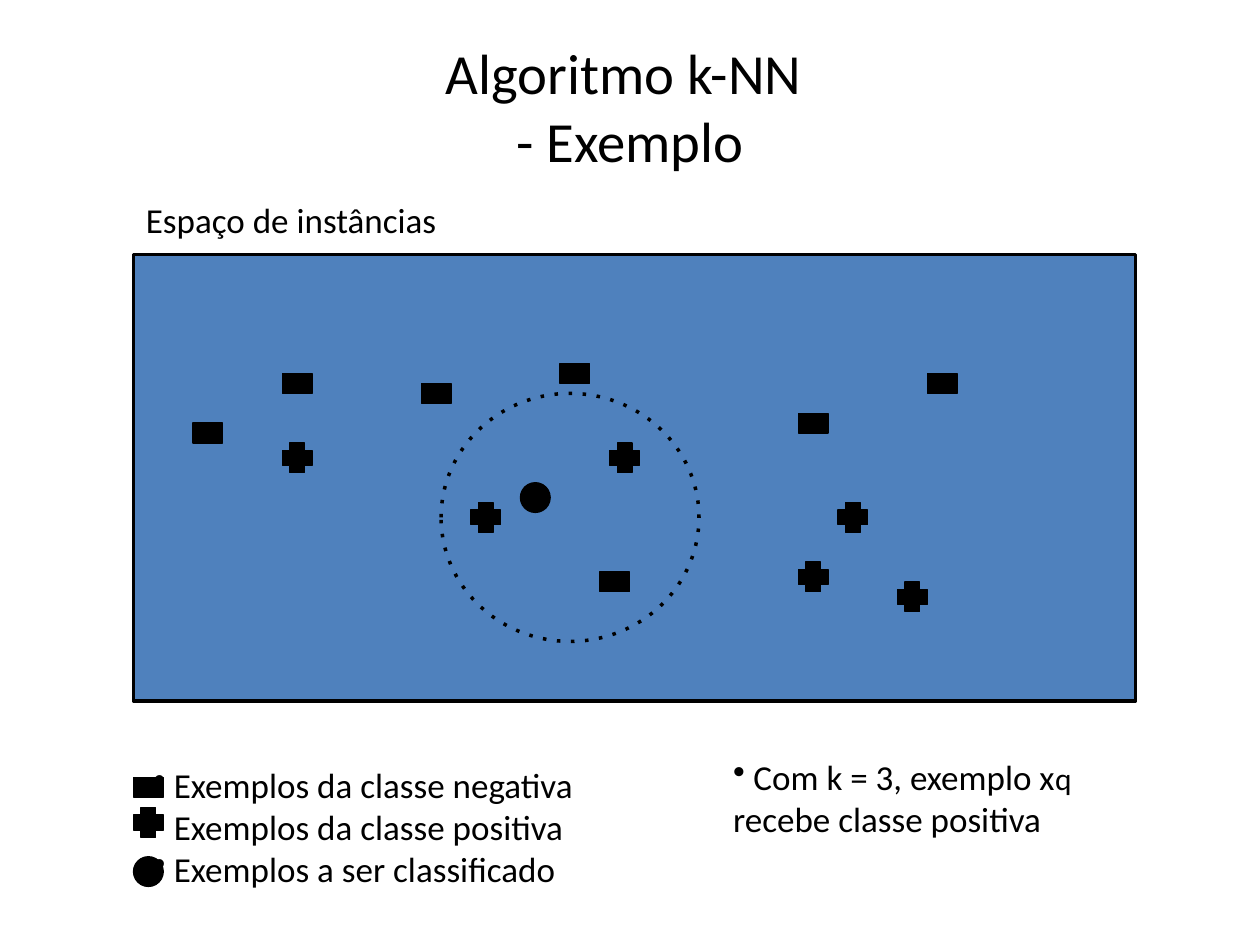
from pptx import Presentation
from pptx import util as u
from pptx.dml.color import RGBColor
from pptx.enum import dml, shapes, text
from lxml import etree
from pptx.oxml.ns import qn

THEME = {
    "font": "Calibri",
    "ink": RGBColor(0x00, 0x00, 0x00),
    "space": RGBColor(0x4F, 0x81, 0xBD),
    "title": 32.4,
    "body": 20,
    "subscript": 18,
    "frame": 2,
    "outline": 0.75,
}
SLIDE_WIDTH, SLIDE_HEIGHT = u.Inches(10), u.Inches(7.5)

# The instance space is a grid of 2 mm cells
CELL = u.Cm(0.2)
GRID_LEFT, GRID_TOP = u.Inches(1.06), u.Inches(2.02)
SPACE = (0, 0, 101, 45)
NEIGHBOURHOOD = (31, 14, 26, 25)

# Kind of example: preset shape, columns wide, rows high
MARKERS = {
    "negative": (shapes.MSO_SHAPE.RECTANGLE, 3, 2),
    "positive": (shapes.MSO_SHAPE.CROSS, 3, 3),
    "query": (shapes.MSO_SHAPE.OVAL, 3, 3),
}
# Column and row of each example
EXAMPLES = {
    "negative": [(6, 17), (15, 12), (29, 13), (43, 11), (47, 32), (67, 16), (80, 12)],
    "positive": [(15, 19), (34, 25), (48, 19), (67, 31), (71, 25), (77, 33)],
    "query": [(39, 23)],
}
LEGEND = [
    ("negative", " Exemplos da classe negativa", 52.7),
    ("positive", " Exemplos da classe positiva", 55.75),
    ("query", " Exemplos a ser classificado", 60.7),
]


def add_grid_shape(slide, preset, cells, fill=None, width=THEME["outline"]):
    """Add a shape placed by (column, row, columns, rows) of the grid."""
    column, row, columns, rows = cells
    shape = slide.shapes.add_shape(
        preset,
        round(GRID_LEFT + column * CELL),
        round(GRID_TOP + row * CELL),
        columns * CELL,
        rows * CELL,
    )
    shape.shadow.inherit = False
    if fill is None:
        shape.fill.background()
    else:
        shape.fill.solid()
        shape.fill.fore_color.rgb = fill
    shape.line.color.rgb = THEME["ink"]
    shape.line.width = u.Pt(width)
    return shape


def add_marker(slide, kind, column, row):
    preset, columns, rows = MARKERS[kind]
    add_grid_shape(slide, preset, (column, row, columns, rows), THEME["ink"])


def add_bullet(paragraph):
    properties = paragraph._p.get_or_add_pPr()
    for name, value in {"marL": 0, "indent": -u.Inches(0.14)}.items():
        properties.set(name, str(value))
    color = etree.SubElement(properties, qn("a:buClr"))
    etree.SubElement(color, qn("a:srgbClr")).set("val", str(THEME["ink"]))
    etree.SubElement(properties, qn("a:buChar")).set("char", "•")


def add_text(slide, shares, paragraphs, bulleted=False, align=None, anchor=None):
    """Add paragraphs of (text, size) runs, placed by shares of the slide."""
    left, top, width, height = shares
    box = slide.shapes.add_textbox(
        round(left * SLIDE_WIDTH),
        round(top * SLIDE_HEIGHT),
        round(width * SLIDE_WIDTH),
        round(height * SLIDE_HEIGHT),
    )
    frame = box.text_frame
    frame.word_wrap = True
    frame.vertical_anchor = anchor
    for index, runs in enumerate(paragraphs):
        paragraph = frame.add_paragraph() if index else frame.paragraphs[0]
        paragraph.alignment = align
        if bulleted:
            add_bullet(paragraph)
        for wording, size in runs:
            for number, line in enumerate(wording.split("\n")):
                if number:
                    paragraph.add_line_break()
                run = paragraph.add_run()
                run.text = line
                run.font.color.rgb = THEME["ink"]
                style = {"name": THEME["font"], "size": u.Pt(size)}
                for name, value in style.items():
                    setattr(run.font, name, value)


def add_instance_space(slide):
    add_grid_shape(slide, shapes.MSO_SHAPE.RECTANGLE, SPACE, THEME["space"], THEME["frame"])
    for kind, places in EXAMPLES.items():
        for column, row in places:
            add_marker(slide, kind, column, row)
    circle = add_grid_shape(
        slide, shapes.MSO_SHAPE.OVAL, NEIGHBOURHOOD, width=THEME["frame"]
    )
    circle.line.dash_style = dml.MSO_LINE.ROUND_DOT
    # The preset dash for round dots is the sparse "sysDot"; the circle uses "dot"
    circle.line._ln.find(qn("a:prstDash")).set("val", "dot")


def add_legend(slide):
    labels = [[(label, THEME["body"])] for _, label, _ in LEGEND]
    add_text(slide, (0.112, 0.801, 0.405, 0.147), labels, bulleted=True)
    for kind, _, row in LEGEND:
        add_marker(slide, kind, 0, row)


def main():
    presentation = Presentation()
    presentation.slide_width, presentation.slide_height = SLIDE_WIDTH, SLIDE_HEIGHT
    slide = presentation.slides.add_slide(presentation.slide_layouts[6])
    body = THEME["body"]

    add_instance_space(slide)
    add_text(
        slide,
        (0.05, 0.028, 0.9, 0.167),
        [[("Algoritmo k-NN \n- Exemplo", THEME["title"])]],
        align=text.PP_ALIGN.CENTER,
        anchor=text.MSO_ANCHOR.MIDDLE,
    )
    add_text(slide, (0.106, 0.203, 0.283, 0.057), [[("Espaço de instâncias", body)]])
    add_legend(slide)
    conclusion = [
        (" Com k = 3, exemplo x", body),
        ("q", THEME["subscript"]),
        (" recebe classe positiva", body),
    ]
    add_text(slide, (0.572, 0.793, 0.33, 0.103), [conclusion], bulleted=True)
    presentation.save("out.pptx")


if __name__ == "__main__":
    main()
